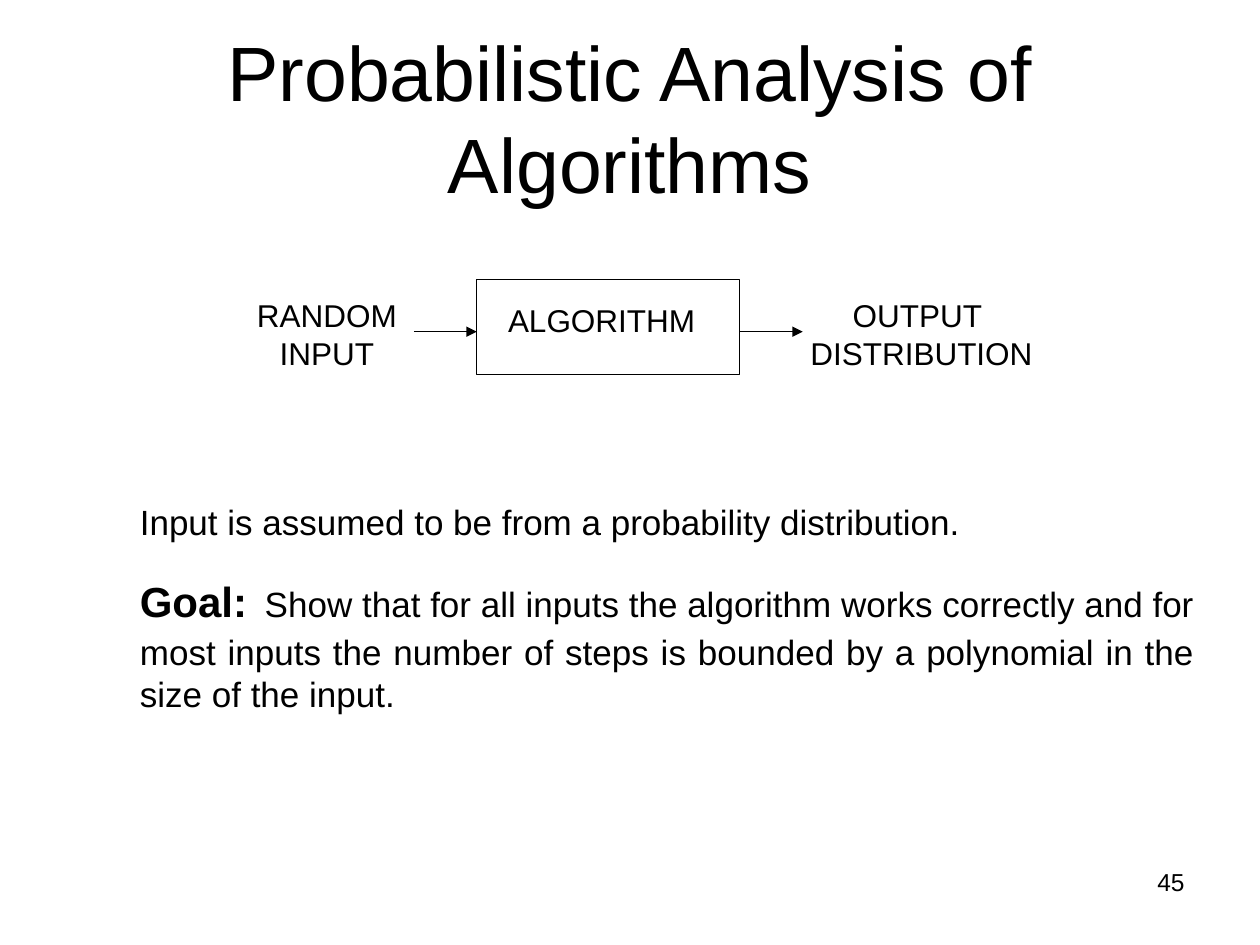
from dataclasses import dataclass

from lxml.etree import SubElement
from pptx import Presentation
from pptx.dml.color import RGBColor
from pptx.enum.shapes import MSO_CONNECTOR as Connector, MSO_SHAPE as Shape
from pptx.enum.text import MSO_ANCHOR as Anchor, PP_ALIGN as Align
from pptx.oxml.ns import qn
from pptx.util import Inches, Pt


@dataclass(frozen=True)
class Theme:
    ink: RGBColor = RGBColor(0, 0, 0)
    font: str = "Arial"
    title: int = 44
    goal: int = 24
    goal_gap: int = 36
    body: int = 20
    label: int = 18
    number: int = 14
    line: float = 0.75


THEME = Theme()
WIDTH, HEIGHT = 10, 7.5


def part(box, left, top, width, height):
    """Return the box that covers the given shares of another box."""
    x, y, w, h = box
    return x + left * w, y + top * h, width * w, height * h


def lengths(box):
    return [Inches(value) for value in box]


def add_run(paragraph, text, size, bold=False):
    run = paragraph.add_run()
    run.text = text
    run.font.name = THEME.font
    run.font.size = Pt(size)
    run.font.bold = bold
    run.font.color.rgb = THEME.ink


def add_text(slide, box, paragraphs, align, wrap=True):
    """Each paragraph is a list of (text, size, bold) runs."""
    frame = slide.shapes.add_textbox(*lengths(box)).text_frame
    frame.word_wrap = wrap
    for index, runs in enumerate(paragraphs):
        paragraph = frame.add_paragraph() if index else frame.paragraphs[0]
        paragraph.alignment = align
        for run in runs:
            add_run(paragraph, *run)
    return frame


def add_label(slide, box, *lines):
    add_text(slide, box, [[(line, THEME.label)] for line in lines], Align.CENTER, wrap=False)


def add_arrow(slide, start, end):
    arrow = slide.shapes.add_connector(Connector.STRAIGHT, *lengths(start + end))
    arrow.line.color.rgb = THEME.ink
    arrow.line.width = Pt(THEME.line)
    properties = arrow.line._get_or_add_ln()
    SubElement(properties, qn("a:tailEnd"), type="triangle")
    SubElement(arrow._element.spPr, qn("a:effectLst"))


def fill_title(slide, box, text):
    title = slide.shapes.title
    title.left, title.top, title.width, title.height = lengths(box)
    frame = title.text_frame
    frame.word_wrap = True
    frame.vertical_anchor = Anchor.MIDDLE
    frame.paragraphs[0].alignment = Align.CENTER
    add_run(frame.paragraphs[0], text, THEME.title)


def add_flow(slide, box):
    algorithm_box = part(box, 0.29, 0, 0.328, 1)
    left, top, width, height = algorithm_box
    right = left + width
    arrow_level = top + 0.55 * height
    arrow_length = 0.5

    algorithm = slide.shapes.add_shape(Shape.RECTANGLE, *lengths(algorithm_box))
    algorithm.shadow.inherit = False
    algorithm.fill.background()
    algorithm.line.color.rgb = THEME.ink
    algorithm.line.width = Pt(THEME.line)
    add_label(slide, part(algorithm_box, 0.07, 0.16, 0.81, 0.53), "ALGORITHM")

    for arrow_start in (left - arrow_length, right):
        add_arrow(slide, (arrow_start, arrow_level), (arrow_start + arrow_length, arrow_level))

    add_label(slide, part(box, 0, 0.11, 0.206, 0.93), "RANDOM", "INPUT")
    add_label(slide, part(box, 0.69, 0.11, 0.31, 0.93), "OUTPUT ", "DISTRIBUTION")


def add_explanation(slide, box):
    assumption = [("Input is assumed to be from a probability distribution.", THEME.body)]
    goal = [
        ("Goal:", THEME.goal, True),
        (" ", THEME.goal_gap),
        ("Show that for all inputs the algorithm works correctly and for most inputs "
         "the number of steps is bounded by a polynomial in the size of the input.",
         THEME.body),
    ]
    frame = add_text(slide, box, [assumption, goal], Align.JUSTIFY)
    frame.margin_left = Inches(0.48)
    frame.paragraphs[1].space_before = Pt(7.2)


def add_number(slide, box, number):
    add_text(slide, box, [[(number, THEME.number)]], Align.RIGHT)


def main():
    deck = Presentation()
    deck.slide_width, deck.slide_height = Inches(WIDTH), Inches(HEIGHT)
    slide = deck.slides.add_slide(deck.slide_layouts[5])
    page = (0, 0, WIDTH, HEIGHT)

    fill_title(slide, part(page, 0.05, 0.04, 0.9, 0.167), "Probabilistic Analysis of Algorithms")
    add_flow(slide, (1.94, 2.22, 6.36, 0.75))
    add_explanation(slide, (0.63, 3.92, 8.95, 2.42))
    add_number(slide, part(page, 0.717, 0.911, 0.233, 0.07), "45")
    deck.save("out.pptx")


if __name__ == "__main__":
    main()
